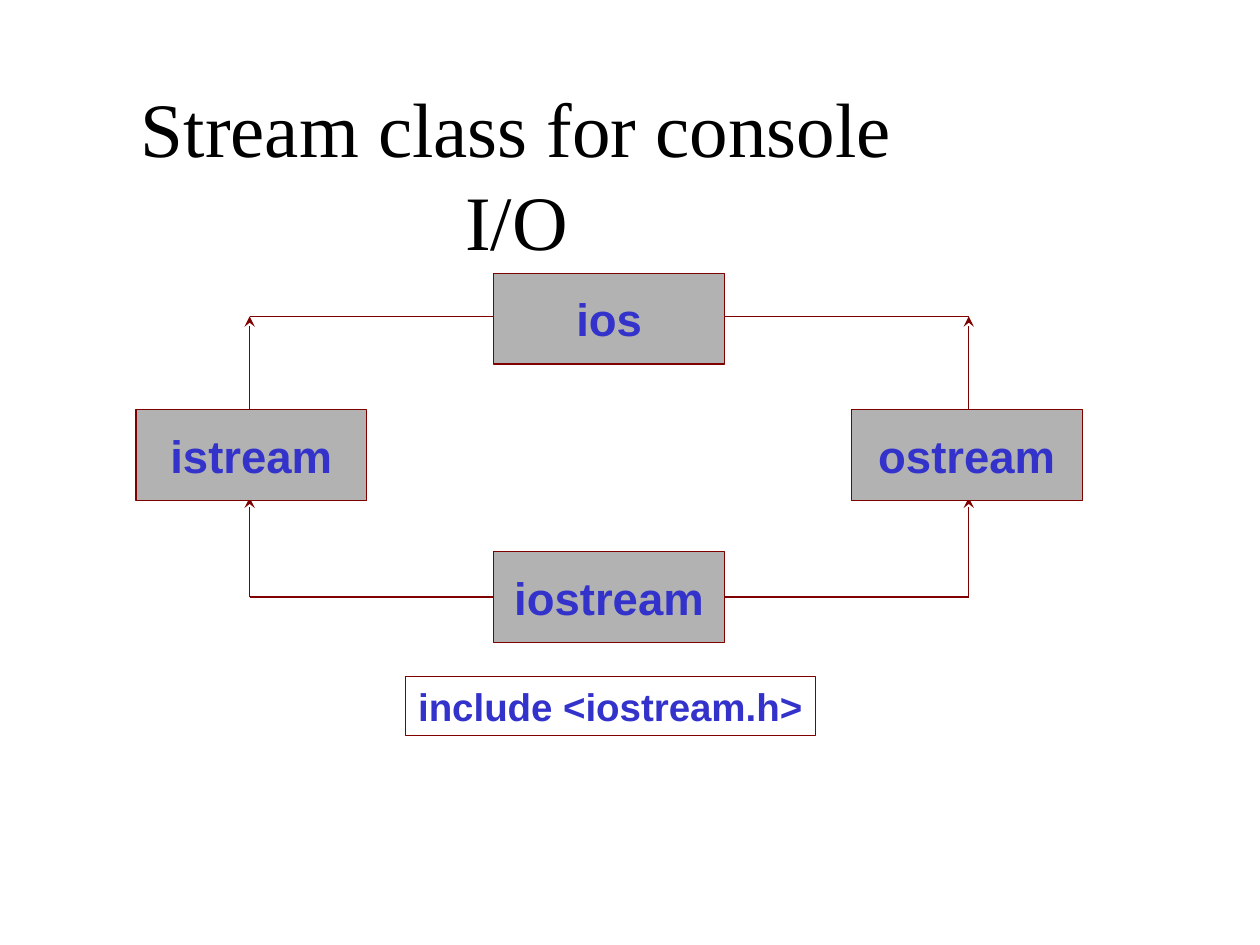
from collections import namedtuple
from lxml.etree import SubElement
from pptx import Presentation
from pptx.dml.color import RGBColor
from pptx.enum.shapes import MSO_CONNECTOR as Connector, MSO_SHAPE as Preset
from pptx.enum.text import MSO_ANCHOR as Anchor, MSO_AUTO_SIZE as Fit, PP_ALIGN as Align
from pptx.oxml.ns import qn
from pptx.util import Inches, Pt

Box = namedtuple("Box", "left top width height")
MAROON, GRAY, BLUE, BLACK = "800000", "B2B2B2", "3333CC", "000000"
CLASS_WIDTH, CLASS_HEIGHT = 24.4, 19.6
LEFT_COLUMN, MIDDLE_COLUMN, RIGHT_COLUMN = 0, 37.8, 75.6
BASE_ROW, STREAM_ROW, DERIVED_ROW = 0, 29.5, 60.2


def color(hex_string):
    return RGBColor.from_string(hex_string)


def percent_of(box, x, y):
    return (Inches(box.left + box.width * x / 100),
            Inches(box.top + box.height * y / 100))


def write(frame, words, size=26, font="Arial", tint=BLUE, bold=True,
          align=Align.CENTER, anchor=Anchor.MIDDLE, wrap=False, fit=Fit.NONE):
    frame.word_wrap = wrap
    frame.auto_size = fit
    frame.vertical_anchor = anchor
    paragraph = frame.paragraphs[0]
    paragraph.alignment = align
    run = paragraph.add_run()
    run.text = words
    run.font.size = Pt(size)
    run.font.name = font
    run.font.bold = bold
    run.font.color.rgb = color(tint)


def outline(line):
    line.color.rgb = color(MAROON)
    line.width = Pt(0.75)


def draw_line(shapes, box, start, end, arrow=False):
    link = shapes.add_connector(Connector.STRAIGHT, *percent_of(box, *start),
                                *percent_of(box, *end))
    outline(link.line)
    if arrow:
        SubElement(link.line._get_or_add_ln(), qn("a:headEnd"), type="stealth")
    SubElement(link._element.spPr, qn("a:effectLst"))


def draw_label(shapes, box, area, words, fill=None, **text_format):
    left, top = percent_of(box, area.left, area.top)
    label = shapes.add_shape(Preset.RECTANGLE, left, top,
                             Inches(box.width * area.width / 100),
                             Inches(box.height * area.height / 100))
    label.shadow.inherit = False
    if fill:
        label.fill.solid()
        label.fill.fore_color.rgb = color(fill)
    else:
        label.fill.background()
    outline(label.line)
    write(label.text_frame, words, **text_format)


def place_title(slide, box):
    title = slide.shapes.title
    title.left, title.top, title.width, title.height = map(Inches, box)
    write(title.text_frame, "Stream class for console I/O", size=44,
          font="Times New Roman", tint=BLACK, bold=False, wrap=True)


def draw_hierarchy(slide, box):
    shapes = slide.shapes.add_group_shape().shapes
    left_rail, right_rail = 12, 88
    base_rail, derived_rail = 9.3, DERIVED_ROW + CLASS_HEIGHT / 2
    stream_bottom = STREAM_ROW + CLASS_HEIGHT - 0.6

    for rail in (left_rail, right_rail):
        draw_line(shapes, box, (rail, stream_bottom), (rail, derived_rail), arrow=True)
        draw_line(shapes, box, (rail, base_rail), (rail, STREAM_ROW), arrow=True)
    for rail in (base_rail, derived_rail):
        draw_line(shapes, box, (left_rail, rail), (right_rail, rail))

    for class_name, column, row in (("istream", LEFT_COLUMN, STREAM_ROW),
                                    ("ostream", RIGHT_COLUMN, STREAM_ROW),
                                    ("ios", MIDDLE_COLUMN, BASE_ROW),
                                    ("iostream", MIDDLE_COLUMN, DERIVED_ROW)):
        draw_label(shapes, box, Box(column, row, CLASS_WIDTH, CLASS_HEIGHT),
                   class_name, fill=GRAY)

    draw_label(shapes, box, Box(28.5, 87.2, 43.3, 12.8), "include <iostream.h>",
               size=22, align=Align.LEFT, anchor=Anchor.TOP,
               fit=Fit.SHAPE_TO_FIT_TEXT)


def main():
    deck = Presentation()
    deck.slide_width, deck.slide_height = Inches(10), Inches(7.5)
    slide = deck.slides.add_slide(deck.slide_layouts[5])
    place_title(slide, Box(1, 1, 6.2, 0.75))
    draw_hierarchy(slide, Box(1.08, 2.17, 7.51, 3.67))
    deck.save("out.pptx")


if __name__ == "__main__":
    main()
